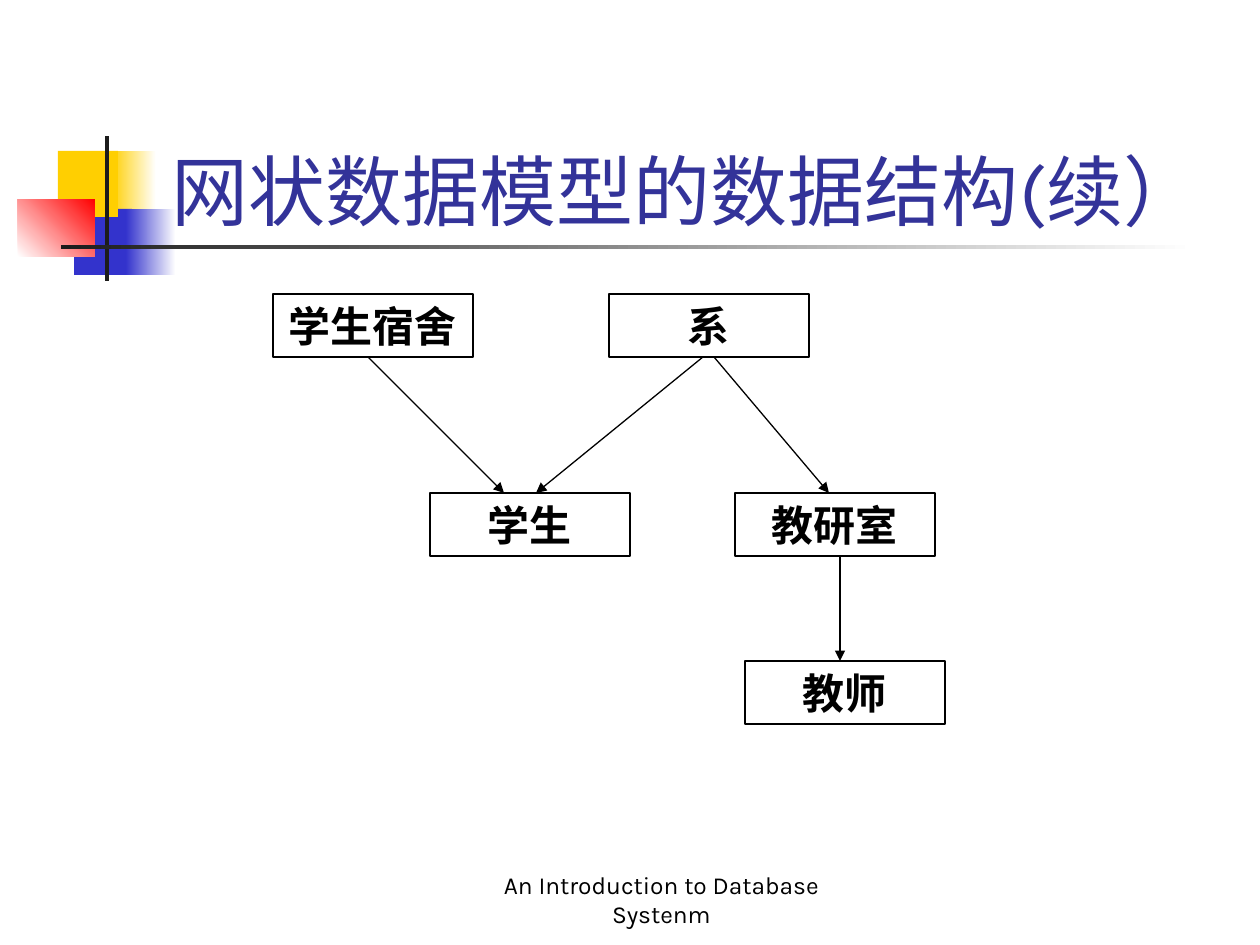
from dataclasses import dataclass
from typing import Optional

import pptx
import pptx.dml.color
import pptx.enum.shapes
import pptx.enum.text
import pptx.oxml
import pptx.oxml.ns
import pptx.util

EMU_PER_PX = 914400 / 126
RGB = pptx.dml.color.RGBColor.from_string
ALIGN = pptx.enum.text.PP_ALIGN
ANCHOR = pptx.enum.text.MSO_ANCHOR


@dataclass(frozen=True)
class Theme:
    title_color: str = "333399"
    ink: str = "000000"
    paper: str = "FFFFFF"
    yellow: str = "FFCF01"
    blue: str = "3333CC"
    red: str = "FF0000"
    charcoal: str = "1C1C1C"
    text_font: str = "Karla"
    record_font: str = "Times New Roman"
    title_size: int = 44
    record_size: int = 24
    footer_size: int = 14
    line_width: float = 0.75


THEME = Theme()


@dataclass(frozen=True)
class Block:
    """A coloured rectangle of the emblem, fading when it has an end colour."""
    left: int
    top: int
    width: int
    height: int
    start: str
    end: Optional[str] = None
    angle: int = 0


@dataclass(frozen=True)
class Record:
    """A record type of the network model."""
    name: str
    left: int
    top: int
    width: int = 200
    height: int = 63


@dataclass(frozen=True)
class Link:
    """An arrow from an owner record down to a member record."""
    start_x: int
    start_y: int
    end_x: int
    end_y: int


EMBLEM = [
    Block(111, 151, 45, 66, THEME.yellow, THEME.paper),
    Block(74, 209, 58, 66, THEME.blue),
    Block(58, 151, 60, 66, THEME.yellow),
    Block(126, 209, 50, 66, THEME.blue, THEME.paper),
    Block(18, 199, 77, 58, THEME.paper, THEME.red, 45),
    Block(105, 136, 4, 145, THEME.charcoal),
    Block(61, 245, 1134, 4, THEME.charcoal, THEME.paper),
]

# Rows of the hierarchy
TOP_ROW, MIDDLE_ROW, BOTTOM_ROW = 294, 493, 661
RECORDS = [
    Record("学生宿舍", 273, TOP_ROW),
    Record("学生", 430, MIDDLE_ROW),
    Record("教研室", 735, MIDDLE_ROW),
    Record("系", 609, TOP_ROW),
    Record("教师", 745, BOTTOM_ROW),
]
TOP_EDGE, MIDDLE_EDGE = TOP_ROW + Record.height, MIDDLE_ROW + Record.height
LINKS = [
    Link(368, TOP_EDGE, 504, MIDDLE_ROW),
    Link(703, TOP_EDGE, 536, MIDDLE_ROW),
    Link(714, TOP_EDGE, 829, MIDDLE_ROW),
    Link(840, MIDDLE_EDGE, 840, BOTTOM_ROW),
]


def px(*lengths: int) -> list[pptx.util.Emu]:
    return [pptx.util.Emu(round(length * EMU_PER_PX)) for length in lengths]


def write(frame, text: str, font_name: str, size: int, color: str,
          align, anchor, bold: bool = False) -> None:
    frame.word_wrap = True
    frame.auto_size = pptx.enum.text.MSO_AUTO_SIZE.NONE
    frame.vertical_anchor = anchor
    frame.text = text
    paragraph = frame.paragraphs[0]
    paragraph.alignment = align
    paragraph.space_before = pptx.util.Pt(0)
    paragraph.font.name = font_name
    paragraph.font.size = pptx.util.Pt(size)
    paragraph.font.bold = bold
    paragraph.font.color.rgb = RGB(color)


def add_rectangle(slide, part):
    rectangle = slide.shapes.add_shape(
        pptx.enum.shapes.MSO_SHAPE.RECTANGLE,
        *px(part.left, part.top, part.width, part.height))
    rectangle.shadow.inherit = False
    return rectangle


def draw_block(slide, block: Block) -> None:
    rectangle = add_rectangle(slide, block)
    rectangle.line.fill.background()
    if block.end is None:
        rectangle.fill.solid()
        rectangle.fill.fore_color.rgb = RGB(block.start)
        return
    rectangle.fill.gradient()
    rectangle.fill.gradient_angle = block.angle
    for stop, color in zip(rectangle.fill.gradient_stops, (block.start, block.end)):
        stop.color.rgb = RGB(color)


def draw_record(slide, record: Record) -> None:
    rectangle = add_rectangle(slide, record)
    rectangle.fill.background()
    rectangle.line.color.rgb = RGB(THEME.ink)
    rectangle.line.width = pptx.util.Pt(THEME.line_width)
    write(rectangle.text_frame, record.name, THEME.record_font, THEME.record_size,
          THEME.ink, ALIGN.CENTER, ANCHOR.MIDDLE, bold=True)


def draw_link(slide, link: Link) -> None:
    arrow = slide.shapes.add_connector(
        pptx.enum.shapes.MSO_CONNECTOR.STRAIGHT,
        *px(link.start_x, link.start_y, link.end_x, link.end_y))
    arrow.line.color.rgb = RGB(THEME.ink)
    arrow.line.width = pptx.util.Pt(THEME.line_width)
    namespace = pptx.oxml.ns.nsdecls("a")
    arrow.line._get_or_add_ln().append(
        pptx.oxml.parse_xml(f'<a:tailEnd {namespace} type="triangle"/>'))
    arrow._element.spPr.append(pptx.oxml.parse_xml(f"<a:effectLst {namespace}/>"))


def main() -> None:
    deck = pptx.Presentation()
    deck.slide_width, deck.slide_height = px(1260, 945)
    slide = deck.slides.add_slide(deck.slide_layouts[5])

    # Emblem and rule beside the title
    for block in EMBLEM:
        draw_block(slide, block)

    # Footer
    footer = slide.shapes.add_textbox(*px(462, 872, 399, 63))
    write(footer.text_frame, "An Introduction to Database Systenm", THEME.text_font,
          THEME.footer_size, THEME.ink, ALIGN.CENTER, ANCHOR.BOTTOM)

    # Title, in front of the emblem
    title = slide.shapes.title
    title.left, title.top, title.width, title.height = px(159, 84, 1073, 158)
    write(title.text_frame, "网状数据模型的数据结构(续）", THEME.text_font,
          THEME.title_size, THEME.title_color, ALIGN.LEFT, ANCHOR.BOTTOM)
    slide.shapes._spTree.append(title._element)

    # Network of record types
    for record in RECORDS:
        draw_record(slide, record)
    for link in LINKS:
        draw_link(slide, link)

    deck.save("out.pptx")


if __name__ == "__main__":
    main()
